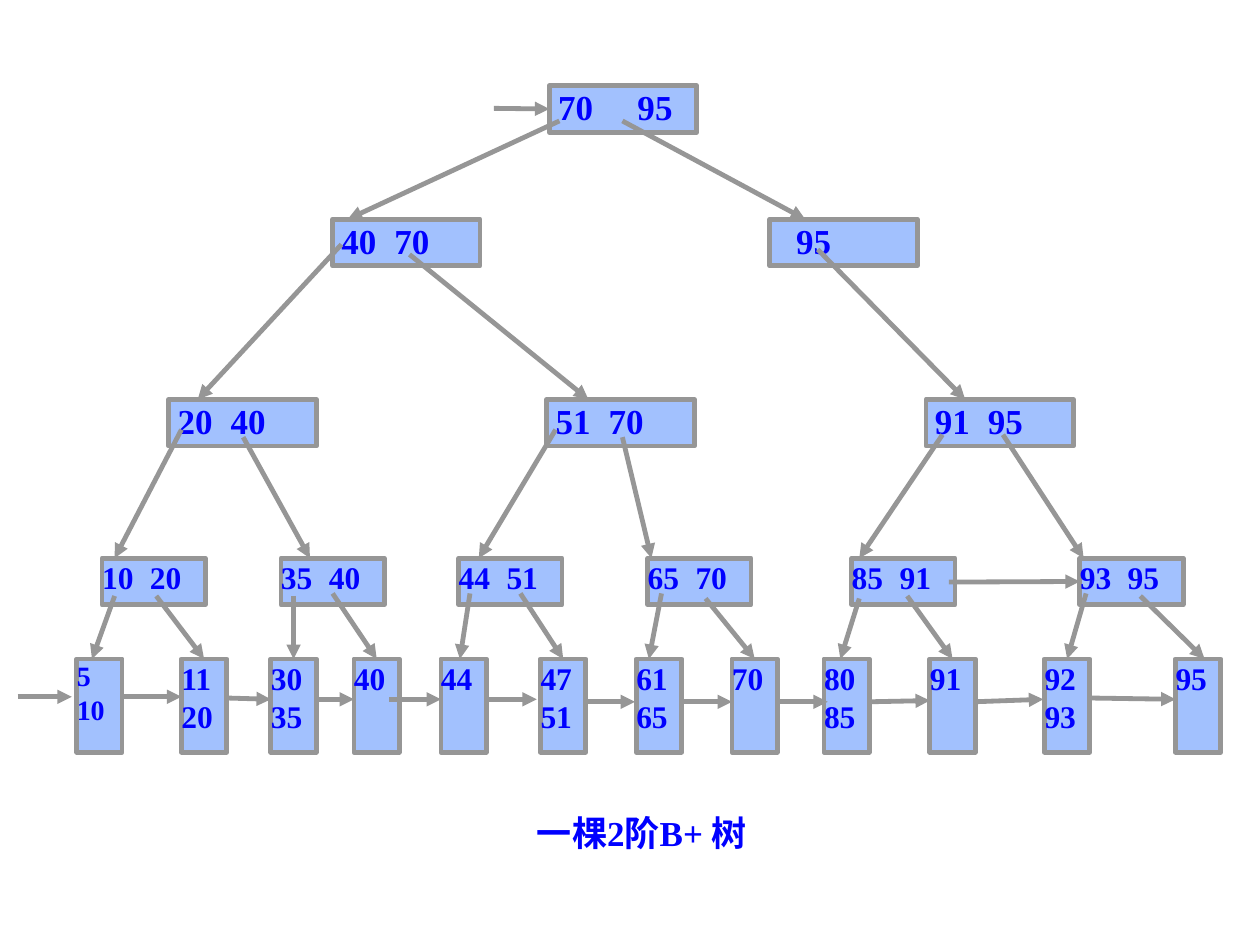
from dataclasses import dataclass

from lxml import etree
from pptx import Presentation
from pptx.dml.color import RGBColor
from pptx.enum.shapes import MSO_CONNECTOR, MSO_SHAPE
from pptx.enum.text import MSO_ANCHOR, MSO_AUTO_SIZE, PP_ALIGN
from pptx.oxml.ns import qn
from pptx.util import Inches, Pt

RECT = MSO_SHAPE.RECTANGLE
STRAIGHT = MSO_CONNECTOR.STRAIGHT
TOP = MSO_ANCHOR.TOP
NO_FIT = MSO_AUTO_SIZE.NONE
JUSTIFY, CENTER = PP_ALIGN.JUSTIFY, PP_ALIGN.CENTER

BLUE = RGBColor(0x00, 0x00, 0xFF)
LIGHT_BLUE = RGBColor(0xA2, 0xC1, 0xFE)
GRAY = RGBColor(0x96, 0x96, 0x96)
FONT = "Times New Roman"
LINE_WIDTH = Pt(2.75)
SNAP = Inches(0.02)  # how near a side's middle an arrow end must be to join


@dataclass(frozen=True)
class Level:
    top: float
    width: float
    height: float
    size: int = 18


@dataclass(frozen=True)
class Node:
    level: Level
    left: float
    text: str
    indent: float = 0
    tab: float = 0.38
    size: int = 0  # 0 takes the size of the level


@dataclass(frozen=True)
class Arrow:
    x1: float
    y1: float
    x2: float
    y2: float


ROOT = Level(0.68, 1.17, 0.37, 20)
UPPER = Level(1.74, 1.17, 0.37, 20)
MIDDLE = Level(3.17, 1.17, 0.37, 20)
LOWER = Level(4.43, 0.82, 0.37)
LEAF = Level(5.23, 0.36, 0.74)

NODES = [
    Node(ROOT, 4.36, "70\t95", 0.07, 0.63),
    Node(UPPER, 2.64, "40\t70", 0.07, 0.42),
    Node(UPPER, 6.11, "95", 0.21),
    *[Node(MIDDLE, x, text, 0.07, 0.42) for x, text in [
        (1.34, "20\t40"), (4.34, "51\t70"), (7.35, "91\t95")]],
    *[Node(LOWER, x, text) for x, text in [
        (0.81, "10\t20"), (2.23, "35\t40"), (3.64, "44\t51"),
        (5.14, "65\t70"), (6.76, "85\t91"), (8.57, "93\t95")]],
    Node(LEAF, 0.61, "5\n10", size=16),
    *[Node(LEAF, x, text) for x, text in [
        (1.44, "11\n20"), (2.15, "30\n35"), (2.81, "40"), (3.5, "44"),
        (4.29, "47\n51"), (5.05, "61\n65"), (5.81, "70"), (6.54, "80\n85"),
        (7.38, "91"), (8.29, "92\n93"), (9.33, "95")]],
]

# Child pointers: start x, start y, end x; each ends on top of its level
POINTERS = {
    UPPER: [(4.44, 0.96, 2.76), (4.94, 0.96, 6.39)],
    MIDDLE: [(2.71, 1.94, 1.57), (3.25, 2.02, 4.67), (6.49, 1.98, 7.66)],
    LOWER: [(1.44, 3.41, 0.91), (1.93, 3.47, 2.46), (4.41, 3.41, 3.8),
            (4.94, 3.47, 5.17), (7.48, 3.45, 6.82), (7.96, 3.45, 8.6)],
    LEAF: [(0.91, 4.73, 0.73), (1.24, 4.73, 1.62), (2.33, 4.73, 2.33),
           (2.64, 4.71, 2.97), (3.73, 4.71, 3.65), (4.13, 4.71, 4.46),
           (5.25, 4.71, 5.15), (5.6, 4.75, 6.01), (6.82, 4.75, 6.67),
           (7.2, 4.73, 7.58), (8.62, 4.71, 8.47), (9.05, 4.73, 9.56)],
}

# Entry arrows, the sibling link and the chain along the leaves
LINKS = [
    Arrow(3.92, 0.86, 4.35, 0.86), Arrow(7.53, 4.62, 8.57, 4.62),
    Arrow(0.14, 5.53, 0.57, 5.53), Arrow(0.96, 5.53, 1.44, 5.53),
    Arrow(1.8, 5.54, 2.15, 5.55), Arrow(2.51, 5.55, 2.81, 5.55),
    Arrow(3.09, 5.55, 3.5, 5.55), Arrow(3.85, 5.55, 4.26, 5.55),
    Arrow(4.64, 5.57, 5.04, 5.57), Arrow(5.41, 5.57, 5.81, 5.57),
    Arrow(6.16, 5.57, 6.57, 5.57), Arrow(6.9, 5.57, 7.38, 5.56),
    Arrow(7.73, 5.57, 8.28, 5.55), Arrow(8.65, 5.54, 9.33, 5.55),
]


def set_attrs(obj, values: dict) -> None:
    for name, value in values.items():
        setattr(obj, name, value)


def format_font(font, size: int) -> None:
    set_attrs(font, {"name": FONT, "size": Pt(size), "bold": True})
    font.color.rgb = BLUE


def add_tab_stop(p, position: float) -> None:
    tabs = etree.SubElement(p._p.get_or_add_pPr(), qn("a:tabLst"))
    etree.SubElement(tabs, qn("a:tab"), pos=str(Inches(position)), algn="l")


def add_node(s, node: Node):
    level = node.level
    sp = s.shapes.add_shape(RECT, Inches(node.left), Inches(level.top),
                            Inches(level.width), Inches(level.height))
    sp.shadow.inherit = False
    sp.fill.solid()
    sp.fill.fore_color.rgb = LIGHT_BLUE
    sp.line.color.rgb = GRAY
    sp.line.width = LINE_WIDTH

    tf = sp.text_frame
    set_attrs(tf, {"margin_left": Inches(node.indent), "margin_top": 0,
                   "margin_right": 0, "margin_bottom": 0,
                   "vertical_anchor": TOP, "word_wrap": True})
    for i, line in enumerate(node.text.split("\n")):
        p = tf.add_paragraph() if i else tf.paragraphs[0]
        p.alignment = JUSTIFY
        if "\t" in line:
            add_tab_stop(p, node.tab)
        r = p.add_run()
        r.text = line
        format_font(r.font, node.size or level.size)
    return sp


def add_arrow(s, arrow: Arrow, boxes: list) -> None:
    end_x, end_y = Inches(arrow.x2), Inches(arrow.y2)
    c = s.shapes.add_connector(STRAIGHT, Inches(arrow.x1), Inches(arrow.y1),
                               end_x, end_y)
    c.line.color.rgb = GRAY
    c.line.width = LINE_WIDTH
    etree.SubElement(c.line._get_or_add_ln(), qn("a:tailEnd"), type="triangle")
    etree.SubElement(c._element.spPr, qn("a:effectLst"))

    # Join the box whose top or left side has its middle at the arrow's end
    for box in boxes:
        sides = [(0, box.left + box.width // 2, box.top),
                 (1, box.left, box.top + box.height // 2)]
        for site, x, y in sides:
            if abs(x - end_x) <= SNAP and abs(y - end_y) <= SNAP:
                c.end_connect(box, site)


def add_caption(s, text: str) -> None:
    title = s.shapes.title
    set_attrs(title, {"left": Inches(0.47), "top": Inches(6.43),
                      "width": Inches(9.25), "height": Inches(0.43)})
    tf = title.text_frame
    set_attrs(tf, {"margin_left": Inches(0.1), "margin_right": Inches(0.1),
                   "margin_top": Inches(0.05), "margin_bottom": Inches(0.05),
                   "vertical_anchor": TOP, "word_wrap": True,
                   "auto_size": NO_FIT})
    p = tf.paragraphs[0]
    set_attrs(p, {"alignment": CENTER, "line_spacing": 0.9})
    r = p.add_run()
    r.text = text
    format_font(r.font, 20)


def main() -> None:
    prs = Presentation()
    prs.slide_width, prs.slide_height = Inches(10), Inches(7.5)
    s = prs.slides.add_slide(prs.slide_layouts[5])

    add_caption(s, "一棵2阶B+ 树")
    boxes = [add_node(s, node) for node in NODES]
    pointers = [Arrow(x1, y1, x2, level.top)
                for level, ends in POINTERS.items() for x1, y1, x2 in ends]
    for arrow in pointers + LINKS:
        add_arrow(s, arrow, boxes)

    prs.save("out.pptx")


if __name__ == "__main__":
    main()
